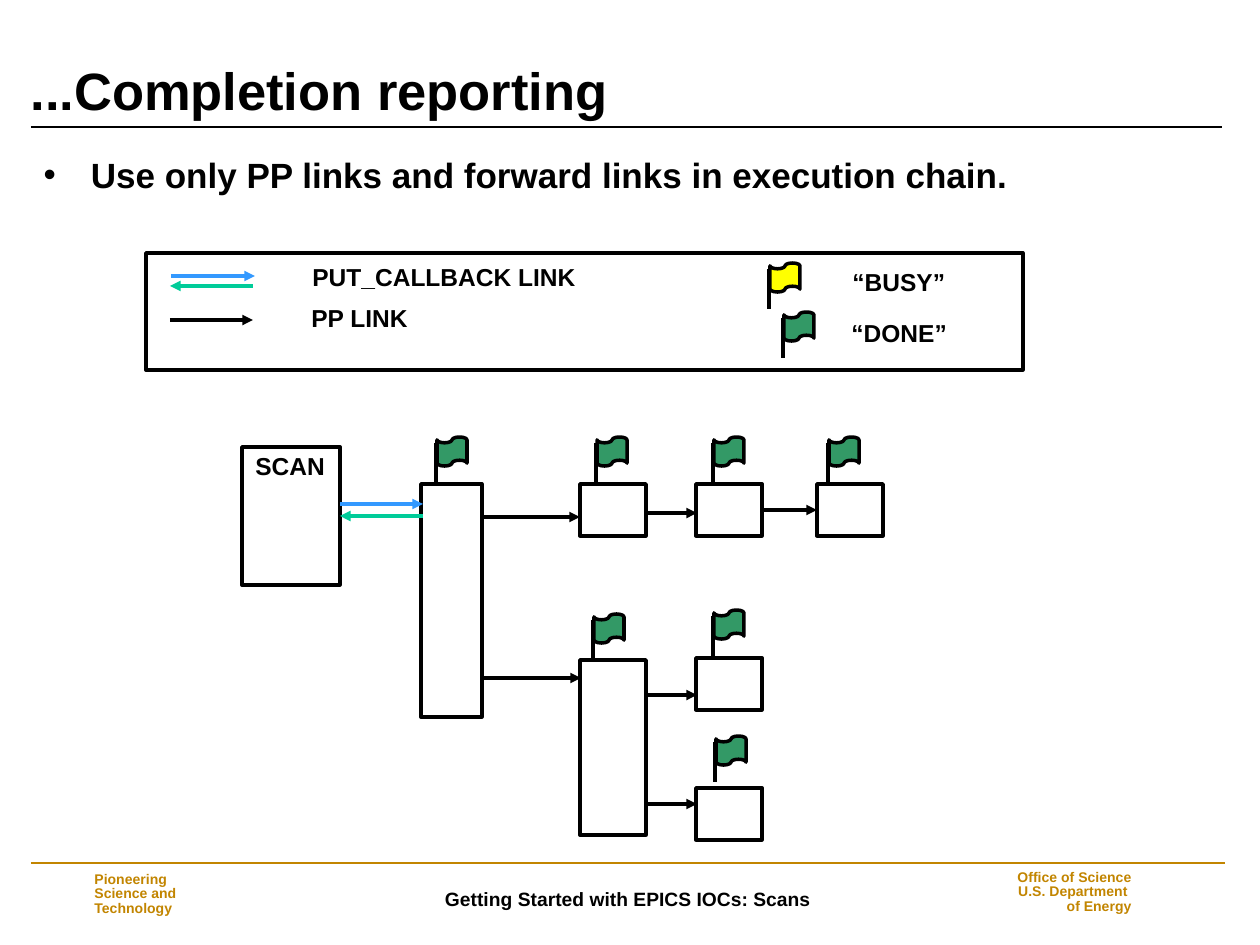
import pptx
import pptx.util
import pptx.dml.color
import pptx.enum.shapes
import pptx.enum.text
import pptx.oxml
import pptx.oxml.ns
import lxml.etree

SHAPE = pptx.enum.shapes.MSO_SHAPE
ALIGN = pptx.enum.text.PP_ALIGN
ANCHOR = pptx.enum.text.MSO_ANCHOR
PX = 7257.6
FONT = "Arial"
COLOURS = {"ink": "000000", "gold": "C28500", "put": "3399FF",
           "reply": "00CC99", "busy": "FFFF00", "done": "339966"}

TITLE = "...Completion reporting"
BULLET = "Use only PP links and forward links in execution chain."
RULES = [("gold", 1, 31, 1225, 863), ("ink", 1.5, 31, 1222, 127)]
FOOTERS = [
    (["Getting Started with EPICS IOCs: Scans"],
     (255, 868, 746, 61), 11, "ink", ALIGN.CENTER, 1),
    (["Pioneering", "Science and", "Technology"],
     (82, 867, 184, 55), 8, "gold", ALIGN.LEFT, 0.85),
    (["Office of Science", "U.S. Department ", "of Energy"],
     (988, 865, 156, 55), 8, "gold", ALIGN.RIGHT, 0.85),
]
RECORD = (66, 52)
RECTANGLES = {
    "legend": (146, 253, 877, 117),
    "scan": (242, 447, 98, 138),
    "first": (421, 484, 61, 233),
    "top 1": (580, 484, *RECORD),
    "top 2": (696, 484, *RECORD),
    "top 3": (817, 484, *RECORD),
    "branch": (580, 660, 66, 175),
    "branch 1": (696, 658, *RECORD),
    "branch 2": (696, 788, *RECORD),
}
LABELS = [
    ("SCAN", 243, 445, 101),
    ("PUT_CALLBACK LINK", 300, 256, 330),
    ("PP LINK", 299, 297, 233),
    ("“BUSY”", 840, 261, 132),
    ("“DONE”", 839, 312, 130),
]
ARROWS = [
    ("put", 171, 255, 276, None, None),
    ("reply", 253, 170, 286, None, None),
    ("ink", 170, 253, 320, None, None),
    ("put", 340, 423, 504, None, None),
    ("reply", 423, 340, 516, None, ("scan", 3)),
    ("ink", 482, 580, 517, None, None),
    ("ink", 646, 697, 513, None, None),
    ("ink", 762, 817, 510, ("top 2", 3), ("top 3", 1)),
    ("ink", 482, 581, 678, None, None),
    ("ink", 646, 697, 695, None, None),
    ("ink", 646, 697, 804, None, None),
]
FLAGS = [("busy", 769, 263), ("done", 783, 312)] + [
    ("done", x, y) for x, y in [
        (436, 437), (596, 437), (713, 437), (828, 437),
        (593, 614), (713, 610), (715, 736)]]


def emu(*lengths):
    return [round(length * PX) for length in lengths]


def colour(name):
    return pptx.dml.color.RGBColor.from_string(COLOURS[name])


def style(frame, lines, size, name="ink", align=ALIGN.LEFT, spacing=1,
          anchor=ANCHOR.TOP):
    frame.word_wrap = True
    frame.auto_size = pptx.enum.text.MSO_AUTO_SIZE.NONE
    frame.vertical_anchor = anchor
    frame.text = "\n".join(lines)
    for para in frame.paragraphs:
        para.alignment = align
        para.line_spacing = spacing
        para.space_before = pptx.util.Pt(0)
        para.font.name = FONT
        para.font.size = pptx.util.Pt(size)
        para.font.bold = True
        para.font.color.rgb = colour(name)


def place(box, bounds):
    box.left, box.top, box.width, box.height = emu(*bounds)


def add_text(shapes, lines, bounds, *args, **options):
    box = shapes.add_textbox(*emu(*bounds))
    style(box.text_frame, lines, *args, **options)


def add_outline(shapes, kind, bounds, fill=None):
    box = shapes.add_shape(kind, *emu(*bounds))
    box.shadow.inherit = False
    if fill:
        box.fill.solid()
        box.fill.fore_color.rgb = colour(fill)
    else:
        box.fill.background()
    box.line.color.rgb = colour("ink")
    box.line.width = pptx.util.Pt(2)
    return box


def add_line(shapes, ends, name="ink", width=2, arrow=False):
    line = shapes.add_connector(
        pptx.enum.shapes.MSO_CONNECTOR.STRAIGHT, *emu(*ends))
    line.line.color.rgb = colour(name)
    line.line.width = pptx.util.Pt(width)
    if arrow:
        tail = lxml.etree.SubElement(
            line.line._get_or_add_ln(), pptx.oxml.ns.qn("a:tailEnd"))
        tail.set("type", "triangle")
    lxml.etree.SubElement(
        line._element.spPr, pptx.oxml.ns.qn("a:effectLst"))
    return line


def add_bullet(para):
    props = para._p.get_or_add_pPr()
    indent = emu(53)[0]
    props.set("marL", str(indent))
    props.set("indent", str(-indent))
    namespace = pptx.oxml.ns.nsdecls("a")
    for xml in (
            f'<a:buClr {namespace}><a:srgbClr val="{COLOURS["gold"]}"/></a:buClr>',
            f'<a:buSzPct {namespace} val="125000"/>',
            f'<a:buFont {namespace} typeface="{FONT}"/>',
            f'<a:buChar {namespace} char="•"/>'):
        props.append(pptx.oxml.parse_xml(xml))


def add_flag(page, name, x, y):
    shapes = page.shapes.add_group_shape().shapes
    add_outline(shapes, SHAPE.FLOWCHART_PUNCHED_TAPE, (x + 1, y, 30, 29), name)
    add_line(shapes, (x, y + 6, x, y + 46))


def main():
    deck = pptx.Presentation()
    deck.slide_width, deck.slide_height = emu(1260, 945)
    page = deck.slides.add_slide(deck.slide_layouts[1])
    shapes = page.shapes

    title, body = page.placeholders
    place(title, (18, 65, 1207, 63))
    style(title.text_frame, [TITLE], 30, spacing=0.9, anchor=ANCHOR.BOTTOM)
    title.text_frame.margin_top = 0
    place(body, (31, 147, 1192, 56))
    body.text_frame.text = BULLET
    add_bullet(body.text_frame.paragraphs[0])
    style(body.text_frame, [BULLET], 20)

    for name, width, left, right, y in RULES:
        add_line(shapes, (left, y, right, y), name, width)
    for lines, bounds, size, name, align, spacing in FOOTERS:
        add_text(shapes, lines, bounds, size, name, align, spacing,
                 anchor=ANCHOR.MIDDLE)

    boxes = {key: add_outline(shapes, SHAPE.RECTANGLE, bounds)
             for key, bounds in RECTANGLES.items()}
    for text, x, y, width in LABELS:
        add_text(shapes, [text], (x, y, width, 43), 14)
    for name, start, end, y, source, target in ARROWS:
        arrow = add_line(shapes, (start, y, end, y), name, arrow=True)
        if source:
            arrow.begin_connect(boxes[source[0]], source[1])
        if target:
            arrow.end_connect(boxes[target[0]], target[1])
    for name, x, y in FLAGS:
        add_flag(page, name, x, y)

    deck.save("out.pptx")


if __name__ == "__main__":
    main()
